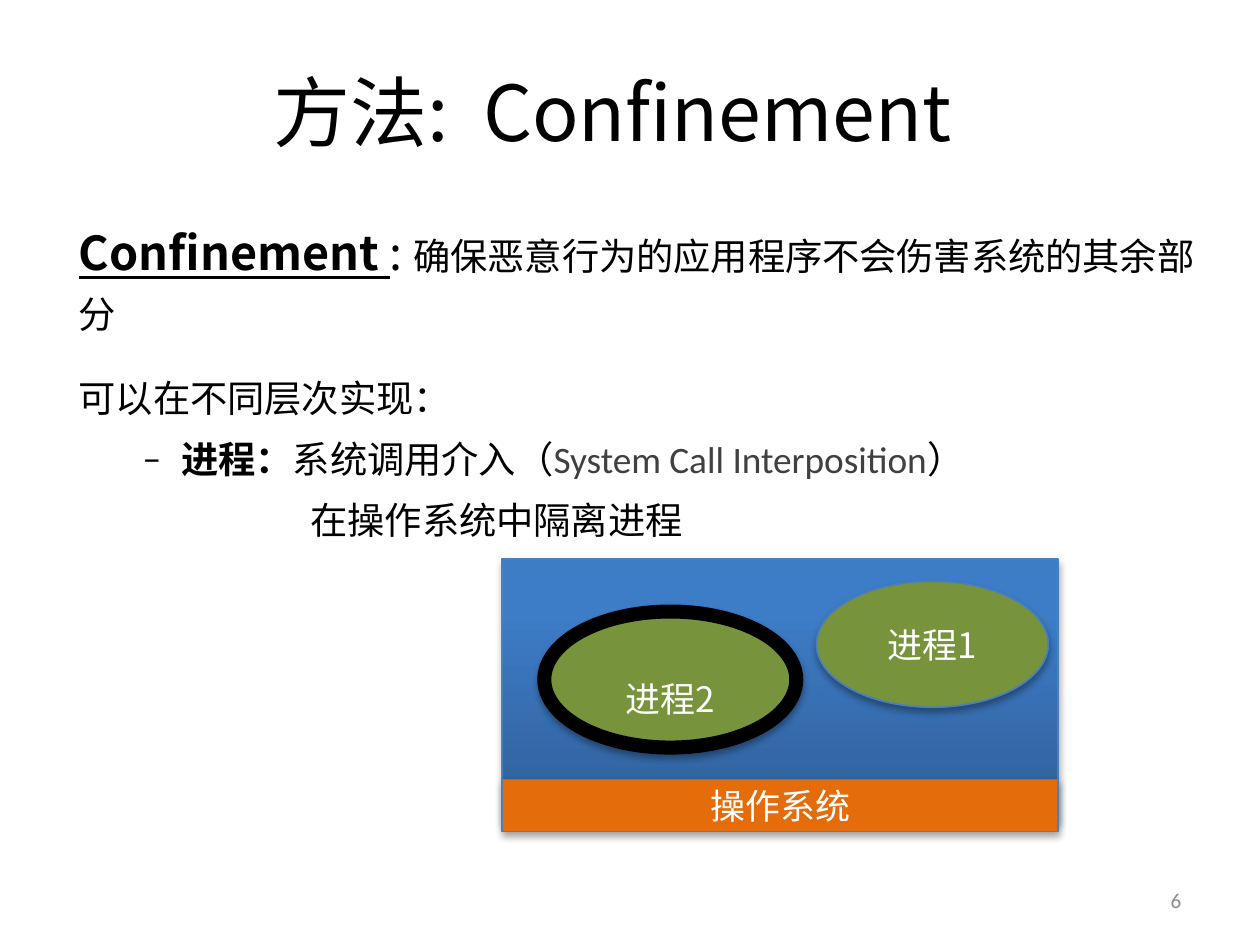
from lxml import etree
from pptx import Presentation
from pptx.dml.color import RGBColor
from pptx.enum.shapes import MSO_SHAPE
from pptx.enum.text import MSO_ANCHOR, PP_ALIGN
from pptx.oxml.ns import qn
from pptx.util import Inches, Pt

RECTANGLE, OVAL = MSO_SHAPE.RECTANGLE, MSO_SHAPE.OVAL
TOP, MIDDLE, BOTTOM = MSO_ANCHOR.TOP, MSO_ANCHOR.MIDDLE, MSO_ANCHOR.BOTTOM
LEFT, CENTER, RIGHT = PP_ALIGN.LEFT, PP_ALIGN.CENTER, PP_ALIGN.RIGHT

BLACK = RGBColor(0x00, 0x00, 0x00)
WHITE = RGBColor(0xFF, 0xFF, 0xFF)
DARK_GRAY = RGBColor(0x40, 0x40, 0x40)
PAGE_GRAY = RGBColor(0x8C, 0x8C, 0x8C)
BLUE_DARK = RGBColor(0x2F, 0x5F, 0x99)
BLUE_LIGHT = RGBColor(0x3D, 0x7C, 0xC7)
BLUE_LINE = RGBColor(0x4B, 0x7E, 0xBC)
GREEN = RGBColor(0x77, 0x93, 0x3C)
ORANGE = RGBColor(0xE4, 0x6C, 0x0A)

CJK_FONT = "Noto Sans CJK SC"
LATIN_FONT = "Calibri"


def add_span(para, text, size=16, font=CJK_FONT, color=BLACK, bold=False,
             underline=False, tracking=0):
    """Add a run; tracking is extra space after each letter, in points."""
    span = para.add_run()
    span.text = text
    span.font.size = Pt(size)
    span.font.bold = bold
    span.font.underline = underline
    span.font.color.rgb = color
    span.font.name = font
    properties = span.font._element
    etree.SubElement(properties, qn("a:ea")).set("typeface", font)
    if tracking:
        properties.set("spc", str(round(tracking * 100)))


def add_box(page, left, top, width, height, anchor=MIDDLE):
    box = page.shapes.add_textbox(Inches(left), Inches(top), Inches(width), Inches(height))
    box.text_frame.word_wrap = True
    box.text_frame.vertical_anchor = anchor
    return box


def add_label(box, text, align=CENTER, **style):
    para = box.text_frame.paragraphs[0]
    para.alignment = align
    add_span(para, text, **style)


def add_title(page):
    para = add_box(page, 0.27, 0.31, 6.75, 0.7).text_frame.paragraphs[0]
    para.alignment = CENTER
    for text, tracking in (("方法:", 0), (" ", 7.4), ("Confinement", 0)):
        add_span(para, text, size=33, tracking=tracking)


def add_body_para(frame, spans, before=0, margin=0, indent=0, bullet=None):
    """Add a paragraph from (text, style) pairs, reusing the frame's empty first one."""
    first = frame.paragraphs[0]
    para = frame.add_paragraph() if first.runs else first
    para.alignment = LEFT
    para.line_spacing = 1.25
    para.space_before = Pt(before)
    properties = para._p.get_or_add_pPr()
    properties.set("marL", str(Inches(margin)))
    properties.set("indent", str(Inches(indent)))
    if bullet:
        etree.SubElement(properties, qn("a:buFont")).set("typeface", LATIN_FONT)
        etree.SubElement(properties, qn("a:buChar")).set("char", bullet)
    for text, style in spans:
        add_span(para, text, **style)


def add_shadow(shape):
    shape.shadow.inherit = False
    effects = shape._element.spPr.find(qn("a:effectLst"))
    shadow = etree.SubElement(effects, qn("a:outerShdw"), blurRad=str(Pt(3.1)),
                              dist=str(Pt(1.8)), dir="5400000", rotWithShape="0")
    color = etree.SubElement(shadow, qn("a:srgbClr"), val=str(BLACK))
    etree.SubElement(color, qn("a:alpha"), val="35000")


def add_block(page, kind, left, top, width, height, fill=None, line=BLUE_LINE,
              line_width=0.75, text=None, anchor=MIDDLE):
    """Add a shadowed shape; without a fill colour it gets the blue gradient."""
    block = page.shapes.add_shape(kind, Inches(left), Inches(top), Inches(width), Inches(height))
    if fill is None:
        block.fill.gradient()
        block.fill.gradient_angle = 90
        stops = block.fill.gradient_stops
        for stop, color, position in zip(stops, (BLUE_DARK, BLUE_LIGHT), (0, 0.8)):
            stop.color.rgb = color
            stop.position = position
    else:
        block.fill.solid()
        block.fill.fore_color.rgb = fill
    block.line.color.rgb = line
    block.line.width = Pt(line_width)
    add_shadow(block)
    if text:
        block.text_frame.vertical_anchor = anchor
        add_label(block, text, size=15, color=WHITE)


def add_body(page):
    frame = add_box(page, 0.37, 1.2, 6.85, 3.47, TOP).text_frame
    add_body_para(frame, [
        ("Confinement ", {"size": 20, "bold": True, "underline": True}),
        (": ", {"size": 20}),
        ("确保恶意行为的应用程序不会伤害系统的其余部分", {}),
    ])
    add_body_para(frame, [("可以在不同层次实现：", {})], before=12)
    add_body_para(frame, [
        ("进程：", {"bold": True}),
        ("系统调用介入（", {}),
        ("System Call Interposition", {"font": LATIN_FONT, "color": DARK_GRAY}),
        ("）", {}),
    ], before=2.2, margin=0.61, indent=-0.23, bullet="–")
    add_body_para(frame, [("在操作系统中隔离进程", {})], before=2.2, margin=1.38)


def add_process_diagram(page):
    add_block(page, RECTANGLE, 2.99, 3.33, 3.31, 1.56)
    add_block(page, RECTANGLE, 2.99, 4.64, 3.31, 0.31, ORANGE, text="操作系统")
    add_block(page, OVAL, 3.24, 3.64, 1.5, 0.81, GREEN, BLACK, 6, "进程2", BOTTOM)
    add_block(page, OVAL, 4.86, 3.46, 1.38, 0.75, GREEN, text="进程1")


def main():
    deck = Presentation()
    deck.slide_width = Inches(7.5)
    deck.slide_height = deck.slide_width * 3 // 4
    page = deck.slides.add_slide(deck.slide_layouts[6])
    add_title(page)
    add_body(page)
    add_process_diagram(page)
    add_label(add_box(page, 5.38, 5.21, 1.75, 0.3), "6", align=RIGHT,
              size=9, font=LATIN_FONT, color=PAGE_GRAY)
    deck.save("out.pptx")


if __name__ == "__main__":
    main()
